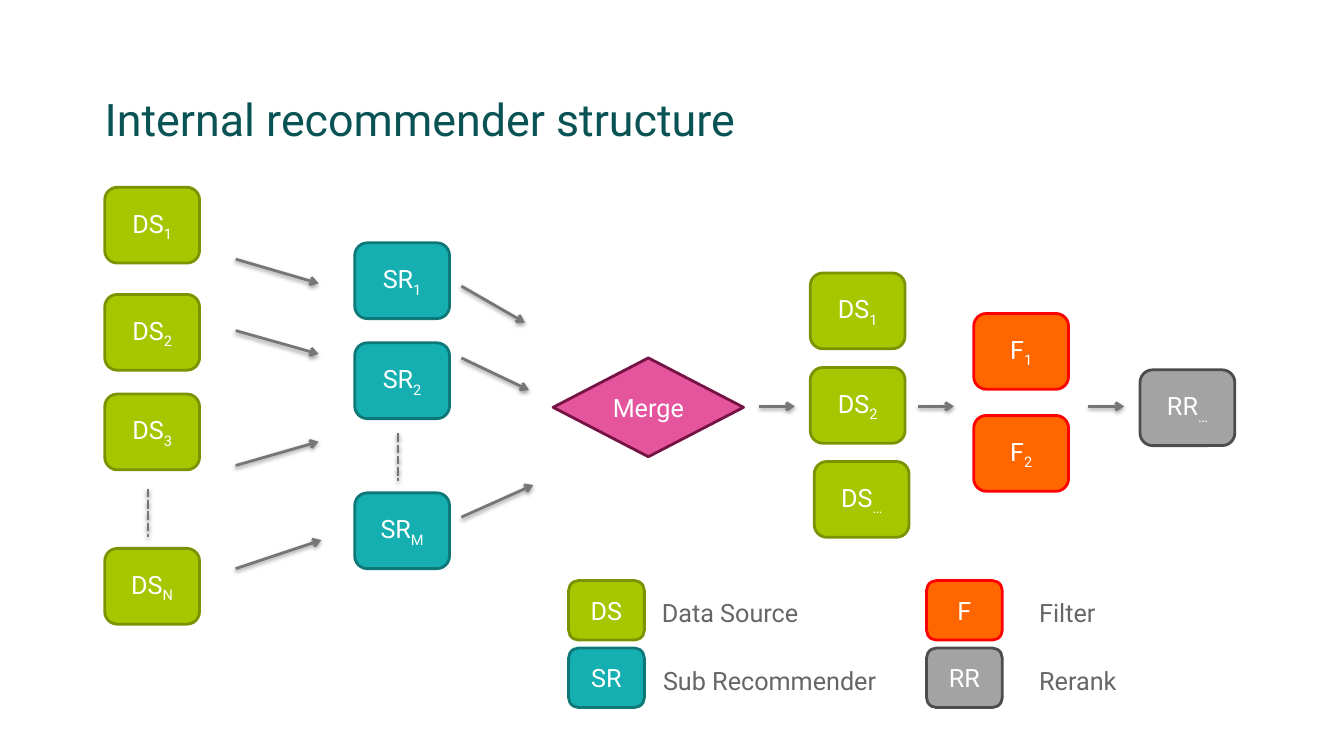
from dataclasses import dataclass

import pptx
import pptx.dml.color
import pptx.enum.dml
import pptx.enum.shapes
import pptx.enum.text
import pptx.oxml
import pptx.oxml.ns
import pptx.util

Cm = pptx.util.Cm
Pt = pptx.util.Pt
Shape = pptx.enum.shapes.MSO_SHAPE
Align = pptx.enum.text.PP_ALIGN
Anchor = pptx.enum.text.MSO_ANCHOR
AutoSize = pptx.enum.text.MSO_AUTO_SIZE


@dataclass(frozen=True)
class Theme:
    font: str = "Roboto"
    title_size: int = 32
    body_size: int = 18
    line_width: int = 2
    title: str = "0A5354"
    node_text: str = "FFFFFF"
    legend_text: str = "666666"
    arrow: str = "767676"
    source: tuple = ("A6C700", "7B9300")
    recommender: tuple = ("15AFB1", "0E7879")
    merge: tuple = ("E4559D", "751344")
    filter: tuple = ("FF6600", "FF0000")
    rerank: tuple = ("A3A3A3", "4D4D4D")


THEME = Theme()
NODE_W, NODE_H = 2.39, 1.91
KEY_W, KEY_H = 1.91, 1.5
SHADOW = (
    f'<a:effectLst {pptx.oxml.ns.nsdecls("a")}>'
    '<a:outerShdw blurRad="39370" dist="20320" dir="5400000" rotWithShape="0">'
    '<a:srgbClr val="000000"><a:alpha val="38000"/></a:srgbClr>'
    '</a:outerShdw></a:effectLst>'
)


def rgb(value):
    return pptx.dml.color.RGBColor.from_string(value)


def style(p, size, color):
    p.font.name = THEME.font
    p.font.size = Pt(size)
    p.font.color.rgb = rgb(color)


def add_node(s, box, colors, label, index="", kind=Shape.ROUNDED_RECTANGLE):
    sp = s.shapes.add_shape(kind, *map(Cm, box))
    sp.shadow.inherit = False
    fill, line = colors
    sp.fill.solid()
    sp.fill.fore_color.rgb = rgb(fill)
    sp.line.color.rgb = rgb(line)
    sp.line.width = Pt(THEME.line_width)
    tf = sp.text_frame
    tf.word_wrap = True
    tf.vertical_anchor = Anchor.MIDDLE
    p = tf.paragraphs[0]
    p.alignment = Align.CENTER
    style(p, THEME.body_size, THEME.node_text)
    p.add_run().text = label
    if index:
        r = p.add_run()
        r.text = index
        r._r.get_or_add_rPr().set("baseline", "-25000")


def add_line(s, x, y, dx, dy, dashed=False):
    c = s.shapes.add_connector(
        pptx.enum.shapes.MSO_CONNECTOR.STRAIGHT, Cm(x), Cm(y), Cm(x + dx), Cm(y + dy)
    )
    c.line.color.rgb = rgb(THEME.arrow)
    c.line.width = Pt(THEME.line_width)
    if dashed:
        c.line.dash_style = pptx.enum.dml.MSO_LINE.SQUARE_DOT
    else:
        ln = c.line._get_or_add_ln()
        ln.append(pptx.oxml.parse_xml(
            f'<a:tailEnd {pptx.oxml.ns.nsdecls("a")} type="arrow"/>'
        ))
    c._element.spPr.append(pptx.oxml.parse_xml(SHADOW))


def add_title(s, left, top, width, height):
    tf = s.shapes.add_textbox(Cm(left), Cm(top), Cm(width), Cm(height)).text_frame
    tf.word_wrap = True
    tf.margin_left = tf.margin_right = tf.margin_top = tf.margin_bottom = 0
    p = tf.paragraphs[0]
    p.text = "Internal recommender structure"
    p.line_spacing = 0.9
    style(p, THEME.title_size, THEME.title)


def add_column(s, left, top, colors, label, nodes, gap_at=None):
    for index, dx, dy in nodes:
        add_node(s, (left + dx, top + dy, NODE_W, NODE_H), colors, label, index)
    if gap_at is not None:
        add_line(s, left + 1.09, top + gap_at, 0, 1.2, dashed=True)


def add_fan(s, left, top, arrows):
    for y, dx, dy in arrows:
        add_line(s, left, top + y, dx, dy)


def add_legend(s, left, top):
    columns = (
        (0, ((THEME.source, "DS", "Data Source", 2.1),
             (THEME.recommender, "SR", "Sub Recommender", 2.13))),
        (9.02, ((THEME.filter, "F", "Filter", 2.59),
                (THEME.rerank, "RR", "Rerank", 2.59))),
    )
    for dx, entries in columns:
        for row, (colors, key, meaning, indent) in enumerate(entries):
            x, y = left + dx, top + row * 1.7
            add_node(s, (x, y, KEY_W, KEY_H), colors, key)
            tb = s.shapes.add_textbox(Cm(x + indent), Cm(y + 0.3), Cm(5), Cm(1.02))
            tf = tb.text_frame
            tf.word_wrap = False
            tf.auto_size = AutoSize.SHAPE_TO_FIT_TEXT
            tf.paragraphs[0].text = meaning
            style(tf.paragraphs[0], THEME.body_size, THEME.legend_text)
            tb.width = Cm({"DS": 4.04, "SR": 6.07, "F": 2.08, "RR": 2.59}[key])


def add_inputs(s, left, top):
    add_column(s, left, top, THEME.source, "DS",
               (("1", 0, 0), ("2", 0, 2.7), ("3", 0, 5.21), ("N", 0, 9.1)), 7.6)
    add_fan(s, left + 3.3, top,
            ((1.81, 2.09, 0.61), (3.61, 2.09, 0.59),
             (7.01, 2.09, -0.6), (9.61, 2.16, -0.72)))


def add_recommenders(s, left, top):
    add_column(s, left, top, THEME.recommender, "SR",
               (("1", 0, 0), ("2", 0, 2.52), ("M", 0, 6.3)), 4.8)
    add_fan(s, left + 2.69, top,
            ((1.09, 1.6, 0.92), (2.9, 1.7, 0.81), (6.91, 1.81, -0.81)))


def add_pipeline(s, left, top):
    add_node(s, (left, top, 4.8, 2.49), THEME.merge, "Merge", kind=Shape.DIAMOND)
    add_column(s, left + 6.48, top - 2.14, THEME.source, "DS",
               (("1", 0, 0), ("2", 0, 2.38), ("…", 0.1, 4.75)))
    add_column(s, left + 10.6, top - 1.12, THEME.filter, "F",
               (("1", 0, 0), ("2", 0, 2.57)))
    add_column(s, left + 14.79, top + 0.3, THEME.rerank, "RR", (("…", 0, 0),))
    for dx in (5.19, 9.2, 13.49):
        add_line(s, left + dx, top + 1.22, 0.9, 0)


def main():
    prs = pptx.Presentation()
    prs.slide_width, prs.slide_height = Cm(33.87), Cm(19.05)
    s = prs.slides.add_slide(prs.slide_layouts[6])
    add_title(s, 2.64, 2.46, 28.6, 2.77)
    add_inputs(s, 2.64, 4.72)
    add_recommenders(s, 8.94, 6.12)
    add_pipeline(s, 13.94, 9.02)
    add_legend(s, 14.33, 14.63)
    prs.save("out.pptx")


if __name__ == "__main__":
    main()
